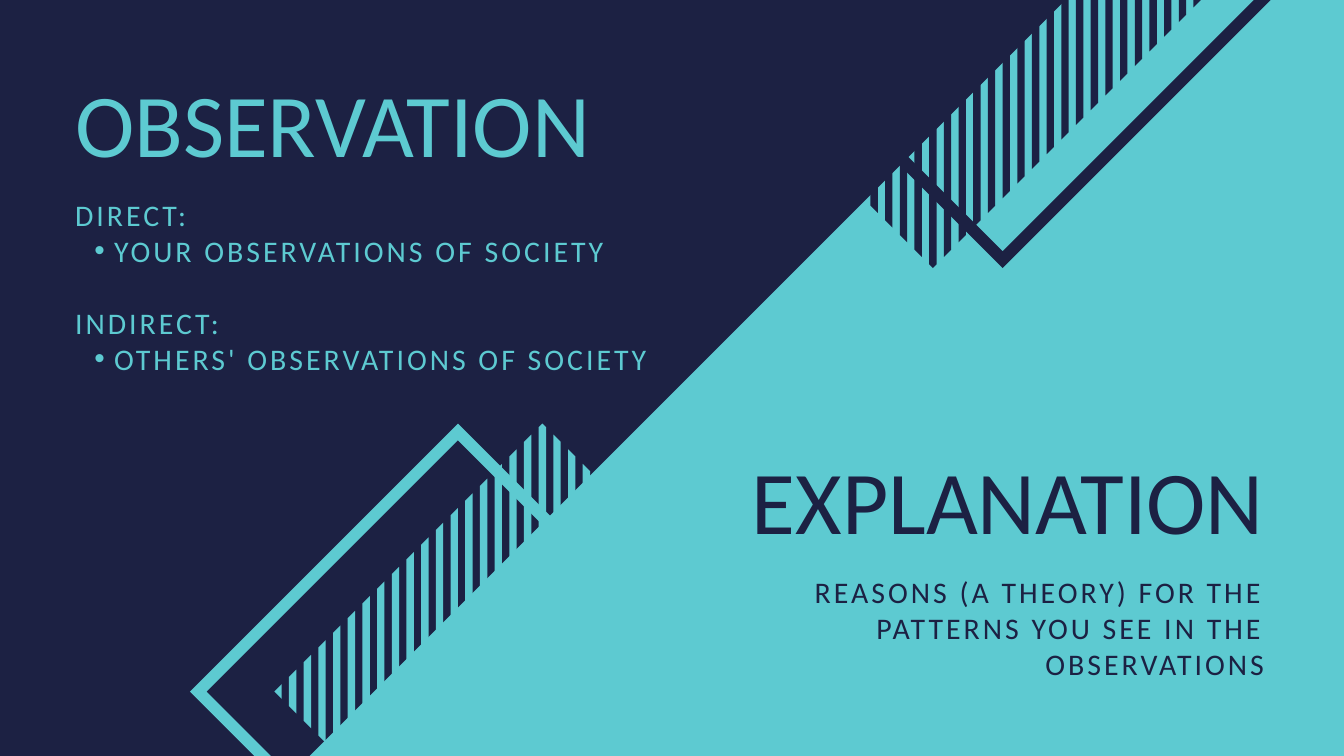
from math import cos, pi, sin

from pptx import Presentation
from pptx.dml.color import RGBColor
from pptx.enum.shapes import MSO_SHAPE
from pptx.enum.text import MSO_AUTO_SIZE, PP_ALIGN
from pptx.oxml.ns import qn
from pptx.util import Cm, Pt

NAVY = "1C2143"
TEAL = "5DCAD1"
FONT = "Calibri"
TILT = 315
RADIUS = 10.13  # centre to tip of a diamond, in cm
FRAME_INNER = 9.5
STRIPES = 37


def paint(fill, color):
    fill.solid()
    fill.fore_color.rgb = RGBColor.from_string(color)


def finish(s, color):
    """Fill a tilted shape and remove its outline and shadow."""
    paint(s.fill, color)
    s.line.fill.background()
    s.shadow.inherit = False
    s.rotation = TILT


def add_tilted_outline(slide, cx, cy, contours, color):
    """Draw contours given around (cx, cy) as they look once tilted."""
    angle = (360 - TILT) * pi / 180

    def place(point):
        x, y = point
        return (Cm(cx + x * cos(angle) - y * sin(angle)),
                Cm(cy + x * sin(angle) + y * cos(angle)))

    builder = None
    for contour in contours:
        start, *rest = [place(point) for point in contour]
        if builder is None:
            builder = slide.shapes.build_freeform(*start)
        else:
            builder.move_to(*start)
        builder.add_line_segments(rest, close=True)
    finish(builder.convert_to_shape(), color)


def diamond(radius):
    return [(-radius, 0), (0, radius), (radius, 0), (0, -radius)]


def diamond_stripes():
    """Vertical stripes, as wide as their gaps, clipped by a diamond."""
    pitch = 2 * RADIUS / (STRIPES - 0.5)
    stripes = []
    for i in range(STRIPES):
        left = i * pitch - RADIUS
        right = left + pitch / 2
        xs = [left, 0, right] if left < 0 < right else [left, right]
        top = [(x, abs(x) - RADIUS) for x in xs]
        stripes.append(top + [(x, -y) for x, y in reversed(top)])
    return stripes


def add_ornament(slide, frame_x, stripes_x, cy, color):
    frame = [diamond(RADIUS), diamond(FRAME_INNER)[::-1]]
    add_tilted_outline(slide, frame_x, cy, frame, color)
    add_tilted_outline(slide, stripes_x, cy, diamond_stripes(), color)


def add_bullet(p):
    p.level = 1
    pPr = p._p.get_or_add_pPr()
    pPr.set("marL", str(Cm(1.47)))
    pPr.set("indent", str(Cm(-0.74)))
    pPr.makeelement(qn("a:buFont"))
    font = pPr.makeelement(qn("a:buFont"), {"typeface": "Arial"})
    char = pPr.makeelement(qn("a:buChar"), {"char": "•"})
    pPr.extend([font, char])


def add_text(slide, box, lines, size, leading, color, align, spacing=0):
    """Add (text, bulleted, space before) lines in one text box."""
    tf = slide.shapes.add_textbox(*map(Cm, box)).text_frame
    tf.word_wrap = True
    tf.auto_size = MSO_AUTO_SIZE.SHAPE_TO_FIT_TEXT
    tf.margin_left = tf.margin_right = tf.margin_top = tf.margin_bottom = 0
    for i, (text, bulleted, before) in enumerate(lines):
        p = tf.add_paragraph() if i else tf.paragraphs[0]
        p.text = text
        if bulleted:
            add_bullet(p)
        p.alignment = align
        p.line_spacing = Pt(leading)
        p.space_before = Pt(before)
        r = p.runs[0]
        r.font.name = FONT
        r.font.size = Pt(size)
        r.font.color.rgb = RGBColor.from_string(color)
        if spacing:
            r._r.get_or_add_rPr().set("spc", str(int(spacing * 100)))


def add_section(slide, title_box, title, body_box, body, color, align):
    add_text(slide, title_box, [(title, False, 0)], 96, 96, color, align)
    add_text(slide, body_box, body, 32, 38.4, color, align, spacing=3.2)


def main():
    prs = Presentation()
    prs.slide_width = Cm(50.8)
    prs.slide_height = Cm(50.8 * 9 / 16)
    slide = prs.slides.add_slide(prs.slide_layouts[6])
    paint(slide.background.fill, NAVY)

    add_ornament(slide, 17.31, 20.5, 26.14, TEAL)
    half = slide.shapes.add_shape(
        MSO_SHAPE.RECTANGLE, Cm(7.29), Cm(9.78), Cm(58.47), Cm(29.08))
    finish(half, TEAL)

    observation = [
        ("DIRECT:", False, 0),
        ("YOUR OBSERVATIONS OF SOCIETY", True, 0),
        ("INDIRECT:", False, 38.4),
        ("OTHERS' OBSERVATIONS OF SOCIETY", True, 0),
    ]
    add_section(slide, (2.84, 3.23, 22.81, 3.71), "OBSERVATION",
                (2.84, 7.44, 22.81, 8.03), observation, TEAL, PP_ALIGN.LEFT)

    explanation = [("REASONS (A THEORY) FOR THE PATTERNS YOU SEE IN THE "
                    "OBSERVATIONS", False, 0)]
    add_section(slide, (25.3, 17.48, 22.48, 3.71), "EXPLANATION",
                (25.3, 21.69, 22.48, 4.01), explanation, NAVY, PP_ALIGN.RIGHT)

    add_ornament(slide, 37.9, 35.26, 0, NAVY)
    prs.save("out.pptx")


if __name__ == "__main__":
    main()
